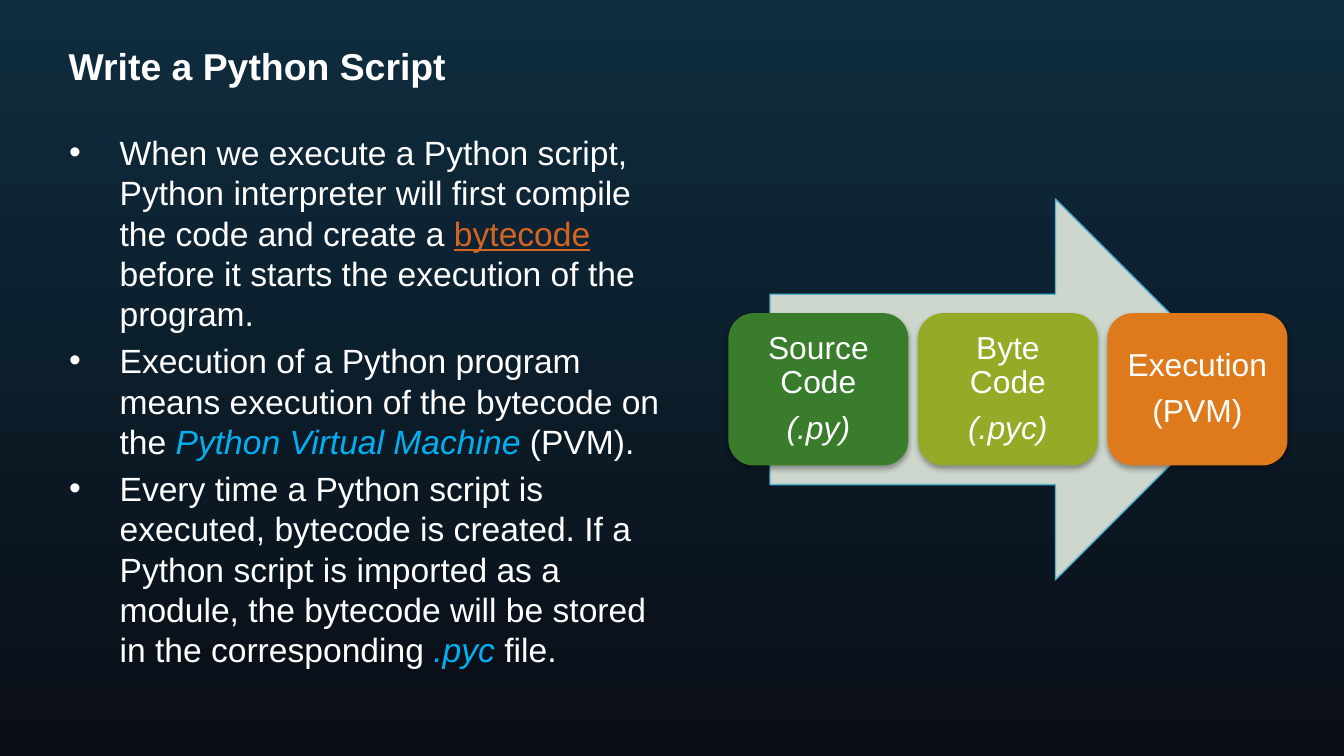
from collections import namedtuple

from lxml.etree import SubElement
from pptx import Presentation
from pptx.dml.color import RGBColor
from pptx.enum.shapes import MSO_SHAPE as Preset
from pptx.enum.text import MSO_ANCHOR as Anchor, MSO_AUTO_SIZE as AutoSize, PP_ALIGN as Align
from pptx.oxml.ns import qn
from pptx.util import Inches, Pt

NIGHT_TOP = RGBColor(0x0E, 0x2D, 0x3F)
NIGHT_BOTTOM = RGBColor(0x0A, 0x0D, 0x16)
WHITE = RGBColor(0xFF, 0xFF, 0xFF)
SKY = RGBColor(0x00, 0xB0, 0xF0)
RUST = RGBColor(0xD3, 0x65, 0x22)
MIST = RGBColor(0xCE, 0xD7, 0xCD)
TEAL = RGBColor(0x50, 0xB3, 0xCF)
GREEN = RGBColor(0x38, 0x7C, 0x2C)
OLIVE = RGBColor(0x95, 0xAA, 0x27)
ORANGE = RGBColor(0xDF, 0x7A, 0x1C)

PLAIN = {"color": WHITE}
TERM = {"color": SKY, "italic": True}
LINKED = {"color": RUST, "underline": True}
ITALIC = {"color": WHITE, "italic": True}

POINTS = [
    [("When we execute a Python script, Python interpreter will first compile "
      "the code and create a ", PLAIN), ("bytecode", LINKED),
     (" before it starts the execution of the program.", PLAIN)],
    [("Execution of a Python program means execution of the bytecode on the ", PLAIN),
     ("Python Virtual Machine ", TERM), ("(PVM).", PLAIN)],
    [("Every time a Python script is executed, bytecode is created. If a Python "
      "script is imported as a module, the bytecode will be stored in the "
      "corresponding ", PLAIN), (".pyc ", TERM), ("file.", PLAIN)],
]
STAGES = [
    (GREEN, [[("Source Code", PLAIN)], [("(.py)", ITALIC)]]),
    (OLIVE, [[("Byte Code", PLAIN)], [("(.pyc)", ITALIC)]]),
    (ORANGE, [[("Execution", PLAIN)], [("(PVM)", PLAIN)]]),
]

Box = namedtuple("Box", "left top width height")


def share(frame, left, top, width, height):
    """Return the box lying at the given percentages of a frame."""
    return Box(int(frame.left + frame.width * left / 100),
               int(frame.top + frame.height * top / 100),
               int(frame.width * width / 100), int(frame.height * height / 100))


def apply(target, values):
    """Set each named attribute of the target."""
    for name, value in values.items():
        setattr(target, name, value)


def write(frame, paragraphs, size, font_values=None, paragraph_values=None):
    """Fill a text frame with paragraphs of (wording, style) runs."""
    for index, pieces in enumerate(paragraphs):
        paragraph = frame.add_paragraph() if index else frame.paragraphs[0]
        apply(paragraph, paragraph_values or {})
        for wording, style in pieces:
            run = paragraph.add_run()
            run.text = wording
            look = {"name": "Arial", "size": Pt(size), **(font_values or {}), **style}
            run.font.color.rgb = look.pop("color")
            apply(run.font, look)


def paint_background(slide):
    """Shade the slide from top to bottom."""
    fill = slide.background.fill
    fill.gradient()
    fill.gradient_angle = 270
    for stop, color in zip(fill.gradient_stops, (NIGHT_TOP, NIGHT_BOTTOM)):
        stop.color.rgb = color


def place_title(title, box):
    """Put the heading in the title placeholder."""
    apply(title, box._asdict())
    apply(title.text_frame, {"auto_size": AutoSize.NONE, "vertical_anchor": Anchor.TOP})
    write(title.text_frame, [[("Write a Python Script", PLAIN)]], 20,
          {"bold": True}, {"alignment": Align.LEFT})


def place_points(body, box):
    """Put the bulleted list in the body placeholder."""
    apply(body, box._asdict())
    body.text_frame.auto_size = AutoSize.NONE
    write(body.text_frame, POINTS, 18)


def add_stage(slide, box, color, label):
    """Draw one rounded stage with its label and soft shadow."""
    stage = slide.shapes.add_shape(Preset.ROUNDED_RECTANGLE, *box)
    stage.fill.solid()
    stage.fill.fore_color.rgb = color
    stage.line.fill.background()
    stage.shadow.inherit = False
    effects = stage.element.spPr.find(qn("a:effectLst"))
    shadow = SubElement(effects, qn("a:outerShdw"), blurRad=str(Pt(3.1)),
                        dist=str(Pt(1.8)), dir="5400000", rotWithShape="0")
    black = SubElement(shadow, qn("a:srgbClr"), val="000000")
    SubElement(black, qn("a:alpha"), val="35000")
    sides = ("left", "top", "right", "bottom")
    apply(stage.text_frame, {"word_wrap": True, "vertical_anchor": Anchor.MIDDLE,
                             **{f"margin_{side}": Inches(0.07) for side in sides}})
    write(stage.text_frame, label, 17, paragraph_values={
        "alignment": Align.CENTER, "line_spacing": 0.9, "space_after": Pt(6)})


def draw_process(slide, box):
    """Draw the arrow and the row of stages across it."""
    arrow = slide.shapes.add_shape(Preset.RIGHT_ARROW, *share(box, 7.45, 0, 85.1, 100))
    arrow.fill.solid()
    arrow.fill.fore_color.rgb = MIST
    arrow.line.color.rgb = TEAL
    arrow.line.width = Pt(0.75)
    arrow.shadow.inherit = False
    width = 32.2
    step = (100 - width) / (len(STAGES) - 1)
    for index, (color, label) in enumerate(STAGES):
        add_stage(slide, share(box, index * step, 30, width, 40), color, label)


def build():
    """Build and save the presentation in 16:9."""
    deck = Presentation()
    page_width = Inches(10)
    apply(deck, {"slide_width": page_width, "slide_height": page_width * 9 // 16})
    page = Box(0, 0, deck.slide_width, deck.slide_height)
    slide = deck.slides.add_slide(deck.slide_layouts[1])
    paint_background(slide)
    place_title(slide.shapes.title, share(page, 4.1, 4.8, 91.8, 8.9))
    place_points(slide.placeholders[1], share(page, 4.15, 16.55, 47.5, 76.45))
    draw_process(slide, share(page, 54.2, 26.33, 41.6, 50.36))
    deck.save("out.pptx")


build()
